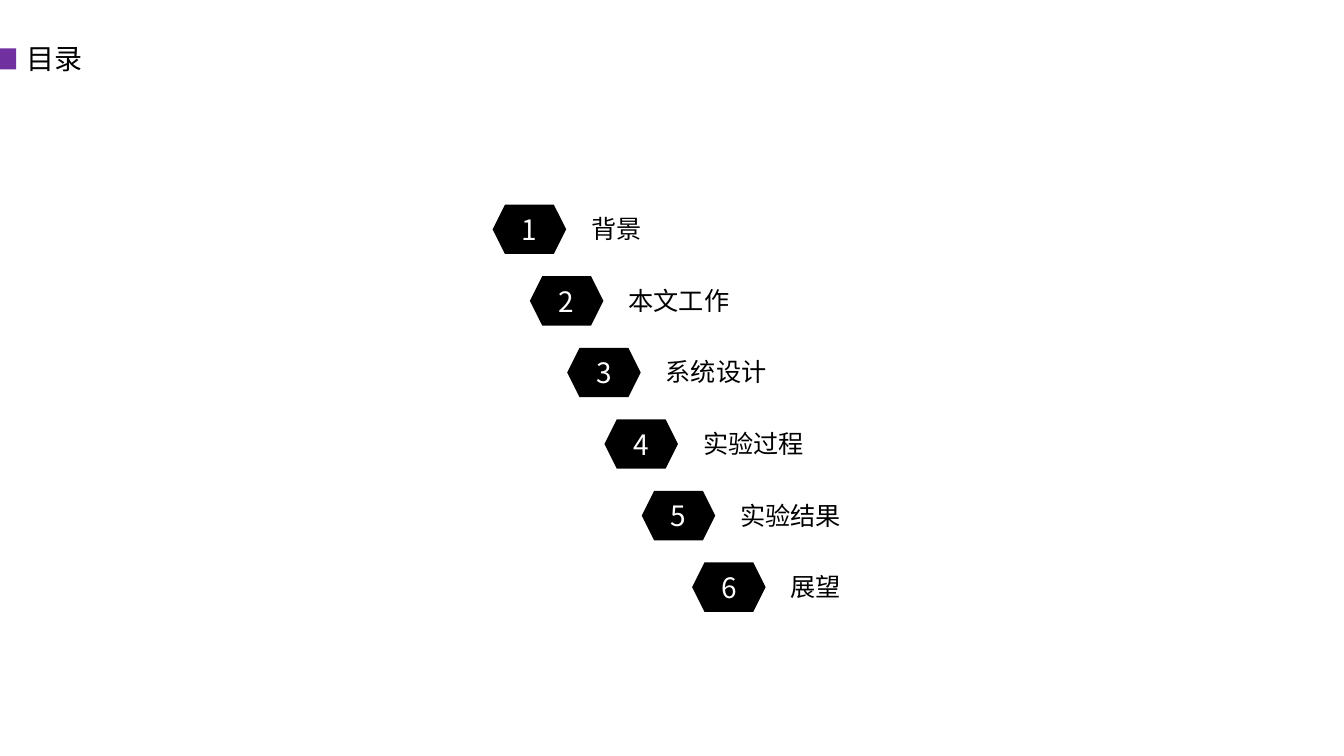
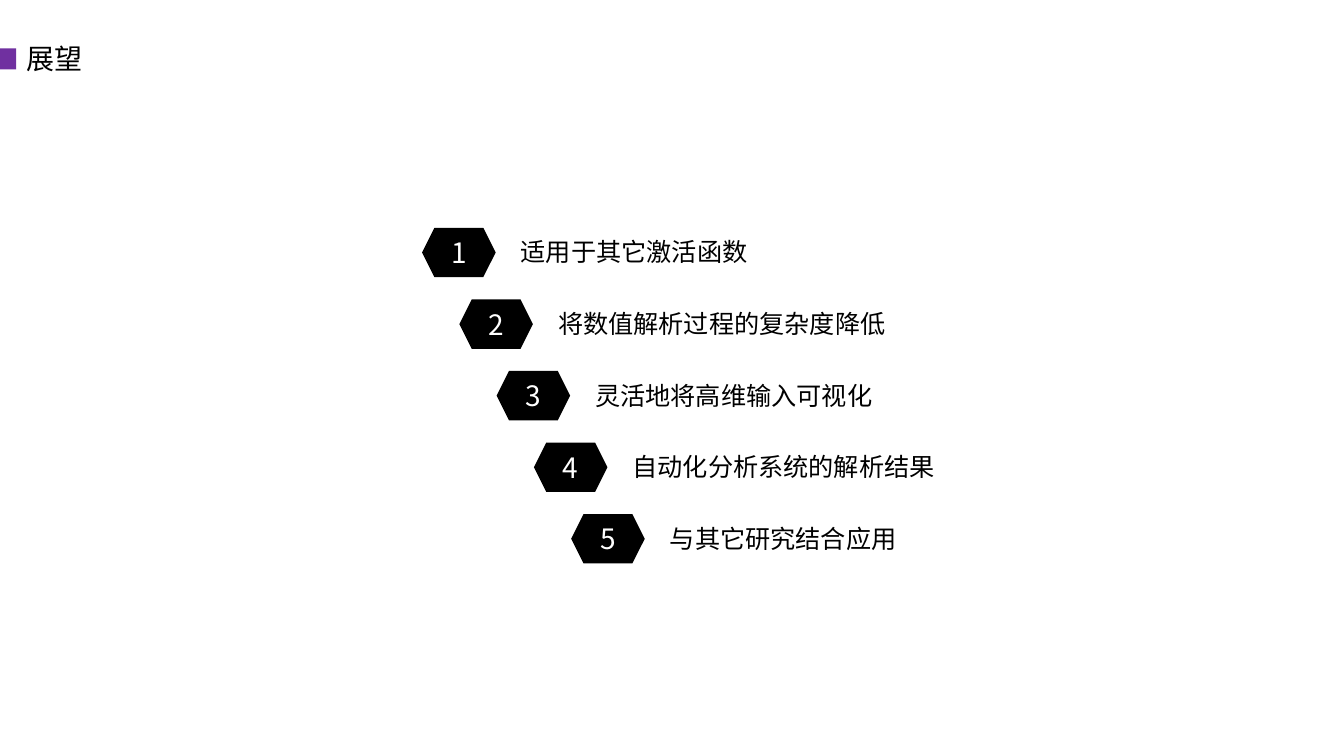
from lxml.etree import SubElement
from pptx import Presentation
from pptx.dml.color import RGBColor
from pptx.enum.shapes import MSO_SHAPE as Shape
from pptx.enum.text import MSO_ANCHOR as Anchor, MSO_AUTO_SIZE as Auto, PP_ALIGN as Align
from pptx.oxml.ns import qn
from pptx.util import Inches, Pt

PURPLE = RGBColor(0x70, 0x30, 0xA0)
BLACK = RGBColor(0, 0, 0)
WHITE = RGBColor(255, 255, 255)
FONT = "Noto Sans CJK SC"

# Staircase list: badge size, step to the next item, label offset
BADGE_W, BADGE_H = 0.73, 0.49
STEP_X, STEP_Y = 0.37, 0.71
LABEL_X, LABEL_Y = 0.88, 0.04


class Deck:
    def __init__(self):
        self.prs = Presentation()
        self.prs.slide_width = Inches(13.34)
        self.prs.slide_height = Inches(7.5)
        self.slide = None

    def page(self, title):
        """Start a slide with its purple marker and title."""
        self.slide = self.prs.slides.add_slide(self.prs.slide_layouts[6])
        shapes = self.slide.shapes
        self.block(shapes, Shape.RECTANGLE, 0, 0.48, 0.16, 0.21, PURPLE)
        self.label(shapes, title, 0.16, 0.36, 0.44, 20)

    def text(self, frame, words, size, color):
        run = frame.paragraphs[0].add_run()
        run.text = words
        run.font.size = Pt(size)
        run.font.color.rgb = color
        run.font.name = FONT
        SubElement(run.font._element, qn("a:ea"), typeface=FONT)

    def block(self, shapes, kind, x, y, w, h, color):
        shape = shapes.add_shape(kind, Inches(x), Inches(y), Inches(w), Inches(h))
        shape.shadow.inherit = False
        shape.fill.solid()
        shape.fill.fore_color.rgb = color
        shape.line.fill.background()
        return shape

    def label(self, shapes, words, x, y, h, size):
        # Each character is one em wide, plus the side insets
        w = 0.2 + len(words) * size / 72
        box = shapes.add_textbox(Inches(x), Inches(y), Inches(w), Inches(h))
        frame = box.text_frame
        frame.word_wrap = False
        frame.auto_size = Auto.SHAPE_TO_FIT_TEXT
        self.text(frame, words, size, BLACK)

    def badge(self, shapes, num, x, y):
        shape = self.block(shapes, Shape.HEXAGON, x, y, BADGE_W, BADGE_H, BLACK)
        frame = shape.text_frame
        frame.vertical_anchor = Anchor.MIDDLE
        frame.paragraphs[0].alignment = Align.CENTER
        self.text(frame, str(num), 20, WHITE)

    def stairs(self, items, left, top, shift=0):
        """Numbered list going down to the right; shift moves the last item."""
        shapes = self.slide.shapes.add_group_shape().shapes
        for i, words in enumerate(items):
            x = left + i * STEP_X
            y = top + i * STEP_Y
            if i == len(items) - 1:
                x += shift
            self.badge(shapes, i + 1, x, y)
            self.label(shapes, words, x + LABEL_X, y + LABEL_Y, 0.4, 18)


def main():
    deck = Deck()

    # Contents
    deck.page("目录")
    deck.stairs(["背景", "本文工作", "系统设计", "实验过程", "实验结果", "展望"],
                4.89, 2.03, shift=0.13)

    # Outlook
    deck.page("展望")
    deck.stairs(["适用于其它激活函数", "将数值解析过程的复杂度降低",
                 "灵活地将高维输入可视化", "自动化分析系统的解析结果",
                 "与其它研究结合应用"], 4.19, 2.26)

    deck.prs.save("out.pptx")


if __name__ == "__main__":
    main()
